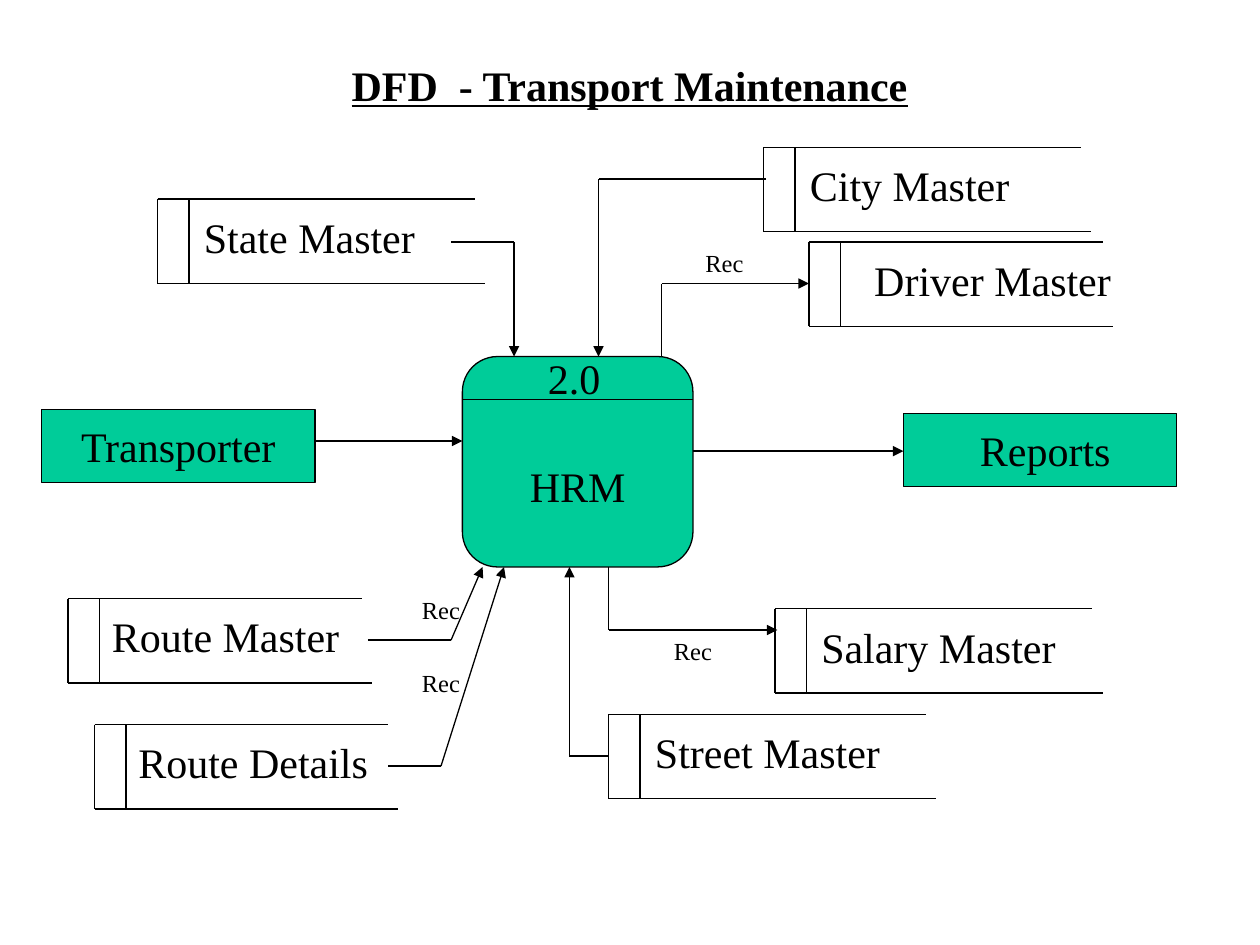
from dataclasses import dataclass

from lxml import etree
from pptx import Presentation
from pptx.dml.color import RGBColor
from pptx.enum.shapes import MSO_CONNECTOR, MSO_SHAPE
from pptx.enum.text import MSO_ANCHOR, MSO_AUTO_SIZE, PP_ALIGN
from pptx.oxml.ns import qn
from pptx.util import Inches, Pt

STRAIGHT = MSO_CONNECTOR.STRAIGHT
RECT, ROUNDED = MSO_SHAPE.RECTANGLE, MSO_SHAPE.ROUNDED_RECTANGLE
TOP, MIDDLE = MSO_ANCHOR.TOP, MSO_ANCHOR.MIDDLE
LEFT, CENTER = PP_ALIGN.LEFT, PP_ALIGN.CENTER
NO_FIT = MSO_AUTO_SIZE.NONE


@dataclass(frozen=True)
class Theme:
    font: str = "Times New Roman"
    ink: RGBColor = RGBColor(0x00, 0x00, 0x00)
    fill: RGBColor = RGBColor(0x00, 0xCC, 0x99)
    body: Pt = Pt(24)
    label: Pt = Pt(14)
    line: Pt = Pt(0.75)


THEME = Theme()
STORE_HEIGHT = 0.67
STORE_TAB = 0.25

STORES = [
    ("Route Master", 0.54, 4.75, 2.33, 0.25),
    ("Route Details", 0.75, 5.75, 2.33, 0.25),
    ("Driver Master", 6.42, 1.92, 2.33, 0.42),
    ("Salary Master", 6.15, 4.83, 2.52, 0.27),
    ("Street Master", 4.83, 5.67, 2.52, 0.27),
    ("City Master", 6.06, 1.17, 2.52, 0.27),
    ("State Master", 1.25, 1.58, 2.52, 0.27),
]
FLOWS = [
    [(2.92, 5.08), (3.58, 5.08), (3.83, 4.5)],
    [(3.08, 6.08), (3.5, 6.08), (4, 4.5)],
    [(2.5, 3.5), (3.67, 3.5)],
    [(5.5, 3.58), (7.17, 3.58)],
    [(5.25, 2.83), (5.25, 2.25), (6.42, 2.25)],
    [(4.83, 4.5), (4.83, 5), (6.17, 5)],
    [(3.58, 1.92), (4.08, 1.92), (4.08, 2.83)],
    [(6.08, 1.42), (4.75, 1.42), (4.75, 2.83)],
    [(4.83, 6), (4.52, 6), (4.52, 4.5)],
]
REC_LABELS = [(3.25, 5.25), (3.25, 4.67), (5.5, 1.92), (5.25, 5)]


def write(sp, text, align=LEFT, anchor=TOP, wrap=True, inset_left=0.1, inset_top=0.05, **font):
    tf = sp.text_frame
    frame = {
        "auto_size": NO_FIT, "word_wrap": wrap, "vertical_anchor": anchor,
        "margin_left": Inches(inset_left), "margin_right": Inches(0.1),
        "margin_top": Inches(inset_top), "margin_bottom": Inches(0.05),
    }
    for name, value in frame.items():
        setattr(tf, name, value)
    p = tf.paragraphs[0]
    p.alignment = align
    r = p.add_run()
    r.text = text
    for name, value in {"name": THEME.font, "size": THEME.body, **font}.items():
        setattr(r.font, name, value)
    r.font.color.rgb = THEME.ink


def add_text(s, box, text, **style):
    write(s.shapes.add_textbox(*map(Inches, box)), text, **style)


def add_line(s, start, end, arrow=False):
    sp = s.shapes.add_connector(STRAIGHT, *map(Inches, (*start, *end)))
    sp.line.color.rgb = THEME.ink
    sp.line.width = THEME.line
    if arrow:
        etree.SubElement(sp.line._get_or_add_ln(), qn("a:tailEnd"), type="triangle")
    etree.SubElement(sp._element.spPr, qn("a:effectLst"))


def add_block(s, kind, box, text, **style):
    sp = s.shapes.add_shape(kind, *map(Inches, box))
    sp.shadow.inherit = False
    sp.fill.solid()
    sp.fill.fore_color.rgb = THEME.fill
    sp.line.color.rgb = THEME.ink
    sp.line.width = THEME.line
    write(sp, text, align=CENTER, anchor=MIDDLE, **style)


def add_title(s, box, text):
    sp = s.shapes.title
    for name, value in zip(("left", "top", "width", "height"), box):
        setattr(sp, name, Inches(value))
    write(sp, text, bold=True, underline=True)


def add_process(s, box, number, name):
    x, y, w, h = box
    add_block(s, ROUNDED, box, name, inset_top=0.43)
    add_line(s, (x, y + 0.34), (x + w, y + 0.34))
    add_text(s, (x + 0.58, y - 0.08, 0.83, 0.5), number)


def add_store(s, box, name, indent):
    x, y, w, h = box
    add_line(s, (x, y), (x + w, y))
    add_line(s, (x, y + h), (x + w + 0.08, y + h))
    for side in (x, x + STORE_TAB):
        add_line(s, (side, y), (side, y + h))
    add_text(s, (x + indent, y + 0.05, 2, 0.5), name, wrap=False)


def add_flow(s, points):
    last = len(points) - 2
    for i, (start, end) in enumerate(zip(points, points[1:])):
        add_line(s, start, end, arrow=i == last)


def main():
    prs = Presentation()
    prs.slide_width, prs.slide_height = Inches(10), Inches(7.5)
    s = prs.slides.add_slide(prs.slide_layouts[5])
    add_title(s, (2.69, 0.42, 5.08, 0.5), "DFD  - Transport Maintenance")
    add_block(s, RECT, (0.33, 3.25, 2.17, 0.58), "Transporter")
    add_block(s, RECT, (7.17, 3.28, 2.17, 0.58), "Reports", inset_left=0.18)
    add_process(s, (3.67, 2.83, 1.83, 1.67), "2.0", "HRM")
    for name, x, y, width, indent in STORES:
        add_store(s, (x, y, width, STORE_HEIGHT), name, indent)
    for points in FLOWS:
        add_flow(s, points)
    for x, y in REC_LABELS:
        add_text(s, (x, y, 0.92, 0.34), "Rec", size=THEME.label)
    prs.save("out.pptx")


if __name__ == "__main__":
    main()
